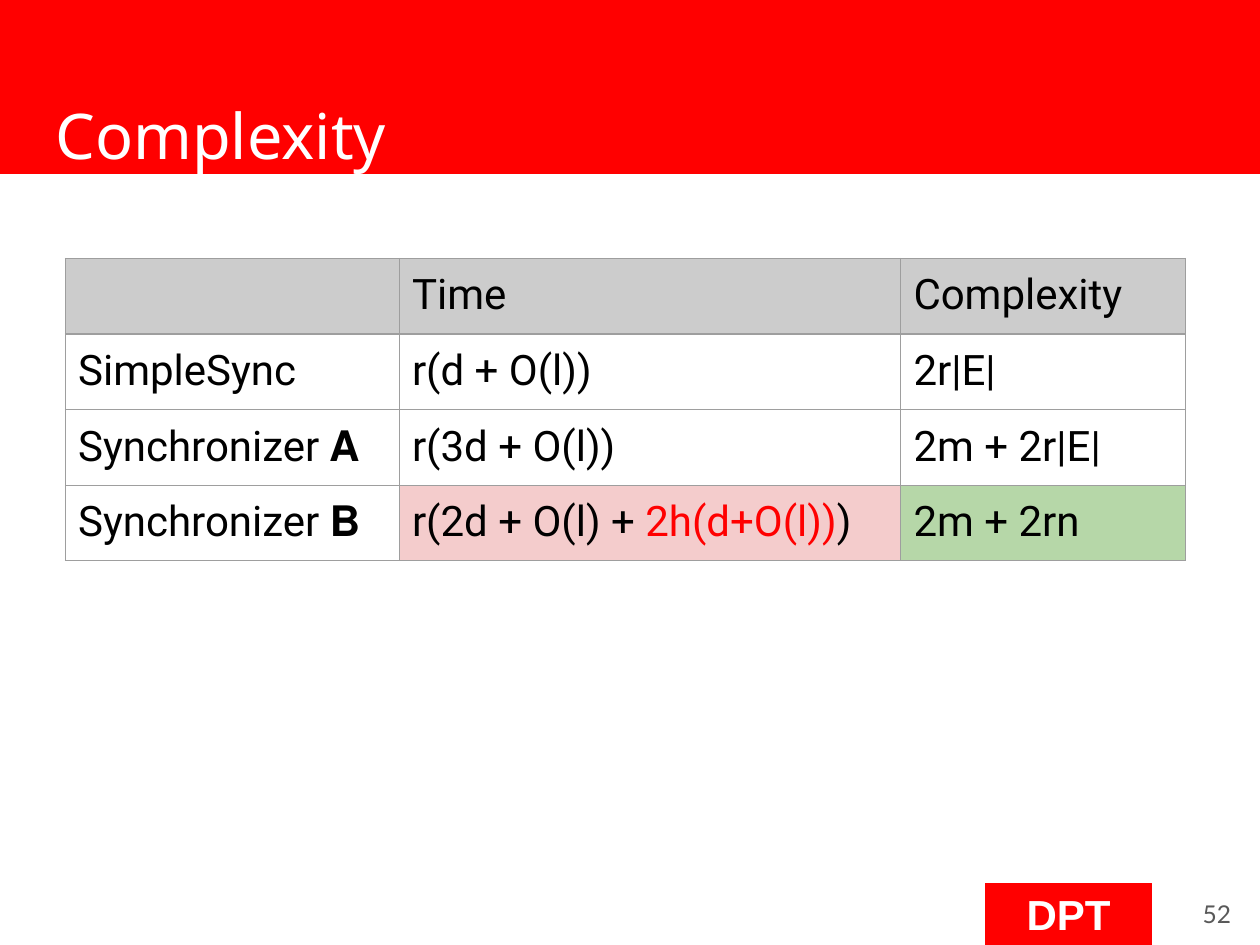
"""Build a slide with a table comparing the complexity of synchronizers."""
from lxml.etree import SubElement
from pptx import Presentation
from pptx.dml.color import RGBColor
from pptx.enum.shapes import MSO_SHAPE
from pptx.enum.text import MSO_ANCHOR, PP_ALIGN
from pptx.oxml.ns import qn
from pptx.util import Inches, Pt

COLORS = {
    "red": "FF0000", "white": "FFFFFF", "black": "000000", "number": "595959",
    "border": "9E9E9E", "header": "CCCCCC", "worse": "F4CCCC", "better": "B6D7A8",
}


def add_run(paragraph, text, font, size, color, bold=False):
    run = paragraph.add_run()
    run.text = text
    run.font.name = font
    run.font.size = Pt(size)
    run.font.bold = bold
    run.font.color.rgb = RGBColor.from_string(COLORS[color])


def set_frame(frame, alignment):
    frame.margin_left = frame.margin_right = Inches(0.1)
    frame.margin_top = frame.margin_bottom = Inches(0.1)
    frame.vertical_anchor = MSO_ANCHOR.MIDDLE
    frame.word_wrap = True
    frame.paragraphs[0].alignment = alignment
    return frame.paragraphs[0]


presentation = Presentation()
presentation.slide_width = Inches(10)
presentation.slide_height = Inches(7.5)
slide = presentation.slides.add_slide(presentation.slide_layouts[5])

bars = []
for left, top, width, height in [(0, 0, 10, 1.38), (7.82, 7.01, 1.32, 0.49)]:
    bar = slide.shapes.add_shape(
        MSO_SHAPE.RECTANGLE, Inches(left), Inches(top), Inches(width), Inches(height))
    bar.shadow.inherit = False
    bar.fill.solid()
    bar.fill.fore_color.rgb = RGBColor.from_string(COLORS["red"])
    bar.line.color.rgb = RGBColor.from_string(COLORS["red"])
    bar.line.width = Pt(0.75)
    bars.append(bar)
header_bar, badge = bars
add_run(set_frame(badge.text_frame, PP_ALIGN.CENTER), "DPT", "Arial", 24, "white", True)

title = slide.shapes.title
title.left, title.top = Inches(0.34), Inches(0.65)
title.width, title.height = Inches(9.32), Inches(0.83)
header_bar.element.getparent().append(title.element)
add_run(set_frame(title.text_frame, PP_ALIGN.LEFT), "Complexity", "Noto Sans", 36, "white")

page_number = slide.shapes.add_textbox(Inches(9.27), Inches(6.97), Inches(0.6), Inches(0.57))
add_run(set_frame(page_number.text_frame, PP_ALIGN.RIGHT), "52", "Lato", 14, "number")

rows = [
    [[], [("Time", "black")], [("Complexity", "black")]],
    [[("SimpleSync", "black")], [("r(d + O(l))", "black")], [("2r|E|", "black")]],
    [[("Synchronizer 𝚨", "black")], [("r(3d + O(l))", "black")], [("2m + 2r|E|", "black")]],
    [[("Synchronizer 𝚩", "black")],
     [("r(2d + O(l) + ", "black"), ("2h(d+O(l))", "red"), (")", "black")],
     [("2m + 2rn", "black")]],
]
fills = {(0, 0): "header", (0, 1): "header", (0, 2): "header",
         (3, 1): "worse", (3, 2): "better"}
column_widths = [2.65, 3.98, 2.26]
row_height = 0.6

table = slide.shapes.add_table(
    len(rows), len(column_widths), Inches(0.52), Inches(2.05),
    Inches(sum(column_widths)), Inches(row_height * len(rows))).table
table.first_row = False
table.horz_banding = False
for column, width in zip(table.columns, column_widths):
    column.width = Inches(width)

for row_index, row in enumerate(rows):
    table.rows[row_index].height = Inches(row_height)
    for column_index, runs in enumerate(row):
        cell = table.cell(row_index, column_index)
        cell.margin_left = cell.margin_right = Inches(0.1)
        cell.margin_top = cell.margin_bottom = Inches(0.1)
        for text, color in runs:
            add_run(cell.text_frame.paragraphs[0], text, "Roboto", 24, color)
        properties = cell._tc.get_or_add_tcPr()
        for side in ("a:lnL", "a:lnR", "a:lnT", "a:lnB"):
            border = SubElement(properties, qn(side), w=str(Pt(0.75)))
            border_fill = SubElement(border, qn("a:solidFill"))
            SubElement(border_fill, qn("a:srgbClr"), val=COLORS["border"])
        fill_name = fills.get((row_index, column_index))
        if fill_name:
            cell.fill.solid()
            cell.fill.fore_color.rgb = RGBColor.from_string(COLORS[fill_name])
        else:
            cell.fill.background()

presentation.save("out.pptx")
